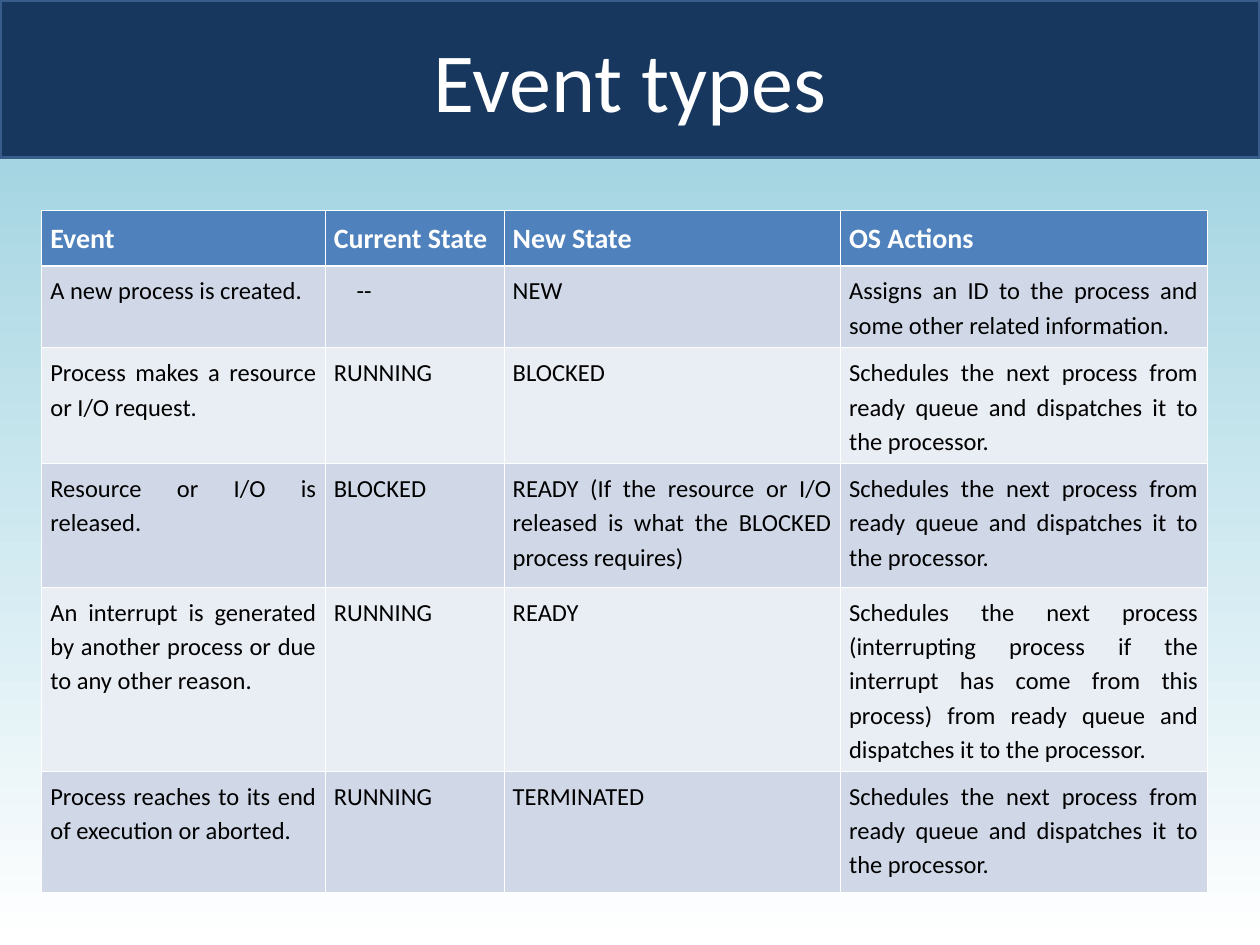
import pptx
import pptx.util
import pptx.dml.color
import pptx.enum.text
import pptx.oxml
import pptx.oxml.ns

Inches = pptx.util.Inches
Pt = pptx.util.Pt
RGBColor = pptx.dml.color.RGBColor
Align = pptx.enum.text.PP_ALIGN
Anchor = pptx.enum.text.MSO_ANCHOR

WHITE = RGBColor(0xFF, 0xFF, 0xFF)
BLACK = RGBColor(0x00, 0x00, 0x00)
NAVY = RGBColor(0x17, 0x37, 0x5E)
EDGE = RGBColor(0x38, 0x5D, 0x8A)
SKY = RGBColor(0x93, 0xCD, 0xDD)
BLUE = RGBColor(0x4F, 0x81, 0xBD)
BANDS = (RGBColor(0xE9, 0xED, 0xF4), RGBColor(0xD0, 0xD8, 0xE8))
FONT = "Calibri"

TITLE = "Event types"
NEXT = "Schedules the next process from ready queue and dispatches it to the processor."
EVENTS = [
    ("Event", "Current State", "New State", "OS Actions"),
    ("A new process is created.", "--", "NEW",
     "Assigns an ID to the process and some other related information."),
    ("Process makes a resource or I/O request.", "RUNNING", "BLOCKED", NEXT),
    ("Resource or I/O is released.", "BLOCKED",
     "READY (If the resource or I/O released is what the BLOCKED process requires)", NEXT),
    ("An interrupt is generated by another process or due to any other reason.",
     "RUNNING", "READY",
     "Schedules the next process (interrupting process if the interrupt has come "
     "from this process) from ready queue and dispatches it to the processor."),
    ("Process reaches to its end of execution or aborted.", "RUNNING", "TERMINATED", NEXT),
]
WIDTHS = (2.25, 1.42, 2.67, 2.91)
HEIGHTS = (0.44, 0.65, 0.92, 0.98, 1.46, 0.96)


def write(para, text, size, color, bold=False):
    run = para.add_run()
    run.text = text
    font = run.font
    font.name = FONT
    font.size = Pt(size)
    font.bold = bold
    font.color.rgb = color


def border(cell, row):
    thick = {0: "lnB", 1: "lnT"}.get(row)
    props = cell._tc.get_or_add_tcPr()
    for side in ("lnL", "lnR", "lnT", "lnB"):
        width = Pt(1.47 if side == thick else 0.45)
        props.append(pptx.oxml.parse_xml(
            f'<a:{side} {pptx.oxml.ns.nsdecls("a")} w="{width}">'
            f'<a:solidFill><a:srgbClr val="{WHITE}"/></a:solidFill></a:{side}>'))


def fill_cell(cell, text, row, col):
    head = row == 0
    cell.margin_left = cell.margin_right = Inches(0.07)
    cell.margin_top = cell.margin_bottom = Inches(0.05)
    border(cell, row)
    cell.fill.solid()
    cell.fill.fore_color.rgb = BLUE if head else BANDS[row % 2]
    para = cell.text_frame.paragraphs[0]
    para.alignment = Align.JUSTIFY
    para.line_spacing = 1.15
    if col == len(WIDTHS) - 1:
        para.space_after = Pt(10)
    if text == "--":
        para._p.get_or_add_pPr().set("marL", str(Inches(0.18)))
    write(para, text, 16 if head else 14, WHITE if head else BLACK, head)


def add_title(slide):
    title = slide.shapes.title
    title.left, title.top = Inches(0), Inches(0)
    title.width, title.height = Inches(10), Inches(1.25)
    title.fill.solid()
    title.fill.fore_color.rgb = NAVY
    title.line.color.rgb = EDGE
    title.line.width = Pt(2)
    frame = title.text_frame
    frame.word_wrap = True
    frame.auto_size = pptx.enum.text.MSO_AUTO_SIZE.NONE
    frame.vertical_anchor = Anchor.MIDDLE
    para = frame.paragraphs[0]
    para.alignment = Align.CENTER
    write(para, TITLE, 48, WHITE)


def add_events(slide):
    table = slide.shapes.add_table(
        len(EVENTS), len(WIDTHS), Inches(0.33), Inches(1.67),
        Inches(sum(WIDTHS)), Inches(sum(HEIGHTS))).table
    for col, width in zip(table.columns, WIDTHS):
        col.width = Inches(width)
    for line, height in zip(table.rows, HEIGHTS):
        line.height = Inches(height)
    for row, texts in enumerate(EVENTS):
        for col, text in enumerate(texts):
            fill_cell(table.cell(row, col), text, row, col)


def main():
    deck = pptx.Presentation()
    deck.slide_width, deck.slide_height = Inches(10), Inches(7.5)
    slide = deck.slides.add_slide(deck.slide_layouts[5])
    back = slide.background.fill
    back.gradient()
    back.gradient_angle = 270
    for stop, color in zip(back.gradient_stops, (SKY, WHITE)):
        stop.color.rgb = color
    add_title(slide)
    add_events(slide)
    deck.save("out.pptx")


if __name__ == "__main__":
    main()
